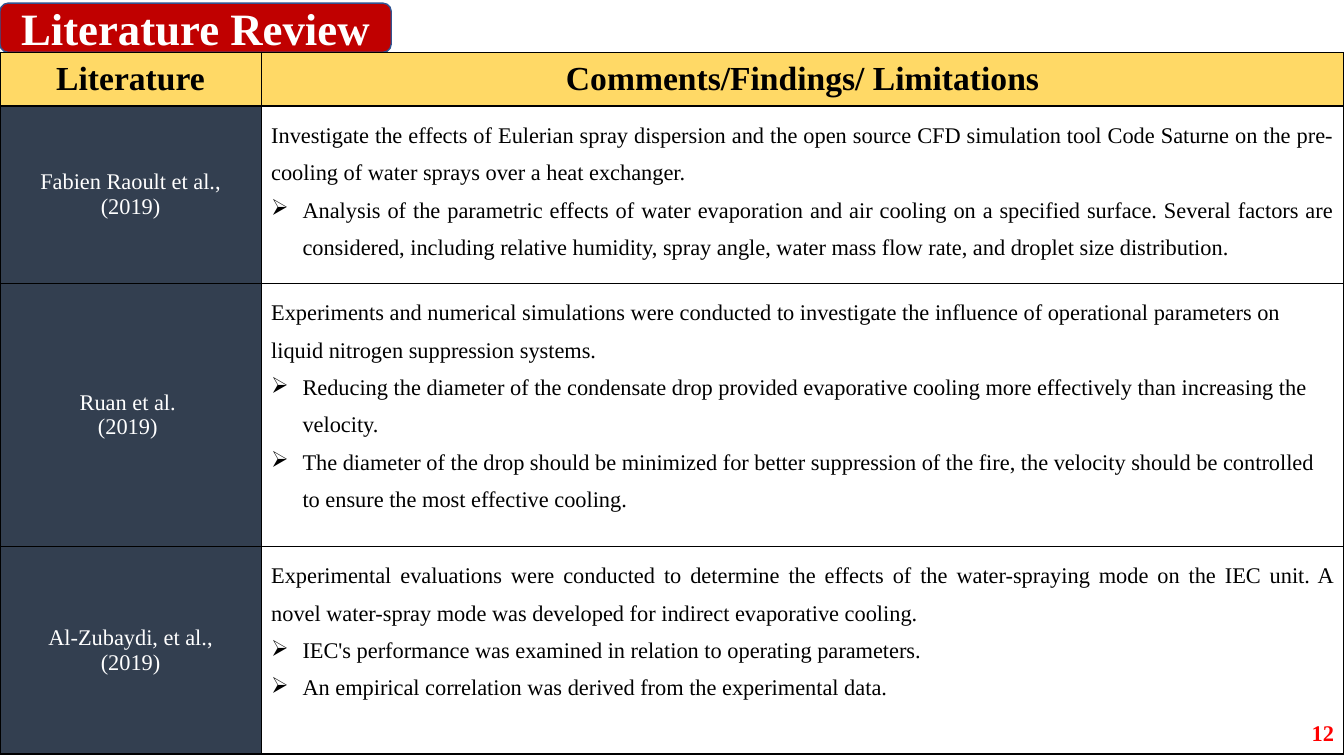
from dataclasses import dataclass
from typing import Any

from pptx import Presentation
from pptx.dml.color import RGBColor
from pptx.enum import shapes, text
from pptx.oxml import parse_xml
from pptx.oxml.ns import nsdecls
from pptx.util import Cm, Pt

COLORS = {
    "title": "C00000", "title_line": "325491", "header": "FFD966",
    "study": "333F50", "white": "FFFFFF", "black": "000000", "number": "FF0000",
}
FONT = "Times New Roman"
CENTER, JUSTIFY = text.PP_ALIGN.CENTER, text.PP_ALIGN.JUSTIFY
LEFT, RIGHT = text.PP_ALIGN.LEFT, text.PP_ALIGN.RIGHT
MIDDLE, TOP = text.MSO_ANCHOR.MIDDLE, text.MSO_ANCHOR.TOP
SLIDE_WIDTH, SLIDE_HEIGHT = Cm(33.87), Cm(19.05)
COLUMN_WIDTHS = [Cm(6.58), Cm(27.29)]
HEADER_HEIGHT = Cm(1.35)
BULLET_INDENT = Cm(0.79)
NARROW_MARGINS = {
    "margin_left": Cm(0.18), "margin_right": Cm(0.18),
    "margin_top": Cm(0.1), "margin_bottom": Cm(0.1),
}


@dataclass
class TextStyle:
    size: int
    color: str
    bold: bool = False
    alignment: Any = CENTER
    line_spacing: float = 1.0


@dataclass
class Study:
    authors: str
    year: str
    summary: str
    findings: list[str]
    height: Cm
    alignment: Any = JUSTIFY


STUDIES = [
    Study(
        "Fabien Raoult et al.,", "(2019)",
        "Investigate the effects of Eulerian spray dispersion and the open source CFD simulation "
        "tool Code Saturne on the pre-cooling of water sprays over a heat exchanger.",
        ["Analysis of the parametric effects of water evaporation and air cooling on a specified "
         "surface. Several factors are considered, including relative humidity, spray angle, "
         "water mass flow rate, and droplet size distribution."],
        Cm(4.47),
    ),
    Study(
        "Ruan et al. ", "(2019) ",
        "Experiments and numerical simulations were conducted to investigate the influence of "
        "operational parameters on liquid nitrogen suppression systems.",
        ["Reducing the diameter of the condensate drop provided evaporative cooling more "
         "effectively than increasing the velocity.",
         "The diameter of the drop should be minimized for better suppression of the fire, the "
         "velocity should be controlled to ensure the most effective cooling."],
        Cm(6.63), LEFT,
    ),
    Study(
        "Al-Zubaydi, et al.,", "(2019)",
        "Experimental evaluations were conducted to determine the effects of the water-spraying "
        "mode on the IEC unit. A novel water-spray mode was developed for indirect evaporative "
        "cooling.",
        ["IEC's performance was examined in relation to operating parameters.",
         "An empirical correlation was derived from the experimental data."],
        Cm(5.23),
    ),
]


def rgb(name: str) -> RGBColor:
    return RGBColor.from_string(COLORS[name])


def set_attributes(target: Any, values: dict[str, Any]) -> None:
    for name, value in values.items():
        setattr(target, name, value)


def add_bullet(paragraph: Any) -> None:
    properties = paragraph._p.get_or_add_pPr()
    properties.set("marL", str(int(BULLET_INDENT)))
    properties.set("indent", str(-int(BULLET_INDENT)))
    properties.append(parse_xml(f'<a:buChar {nsdecls("a")} char="➢"/>'))


def write_text(frame: Any, lines: list[str], style: TextStyle, first_bullet: int = 99) -> None:
    """Write one paragraph per line, with bullets from index first_bullet on."""
    for index, line in enumerate(lines):
        paragraph = frame.paragraphs[0] if index == 0 else frame.add_paragraph()
        set_attributes(paragraph, {
            "alignment": style.alignment, "line_spacing": style.line_spacing,
        })
        if index >= first_bullet:
            add_bullet(paragraph)
        run = paragraph.add_run()
        run.text = line
        set_attributes(run.font, {"name": FONT, "size": Pt(style.size), "bold": style.bold})
        run.font.color.rgb = rgb(style.color)


def format_cell(cell: Any, fill: str, values: dict[str, Any]) -> None:
    properties = cell._tc.get_or_add_tcPr()
    for side in ("lnL", "lnR", "lnT", "lnB"):
        properties.append(parse_xml(
            f'<a:{side} {nsdecls("a")} w="{int(Pt(1))}"><a:solidFill>'
            f'<a:srgbClr val="{COLORS["black"]}"/></a:solidFill></a:{side}>'
        ))
    cell.fill.solid()
    cell.fill.fore_color.rgb = rgb(fill)
    set_attributes(cell, values)


def add_title(slide: Any) -> None:
    shape = slide.shapes.add_shape(
        shapes.MSO_SHAPE.ROUNDED_RECTANGLE, 0, Cm(0.08), Cm(9.86), Cm(1.24))
    shape.shadow.inherit = False
    shape.fill.solid()
    shape.fill.fore_color.rgb = rgb("title")
    shape.line.color.rgb = rgb("title_line")
    shape.line.width = Pt(1)
    set_attributes(shape.text_frame, {"word_wrap": True, "vertical_anchor": MIDDLE})
    write_text(shape.text_frame, ["Literature Review"], TextStyle(32, "white", True))


def add_review_table(slide: Any) -> None:
    heights = [HEADER_HEIGHT] + [study.height for study in STUDIES]
    table = slide.shapes.add_table(
        len(heights), len(COLUMN_WIDTHS), 0, Cm(1.32), SLIDE_WIDTH, sum(heights)).table
    set_attributes(table, {"first_row": False, "horz_banding": False})
    for column, width in zip(table.columns, COLUMN_WIDTHS):
        column.width = width
    for row, height in zip(table.rows, heights):
        row.height = height

    # Header row
    centered = {"vertical_anchor": MIDDLE}
    narrow = centered | NARROW_MARGINS
    headings = ["Literature", "Comments/Findings/ Limitations"]
    for cell, heading, values in zip(table.rows[0].cells, headings, [narrow, centered]):
        format_cell(cell, "header", values)
        write_text(cell.text_frame, [heading], TextStyle(24, "black", True))

    # One row per study
    for index, study in enumerate(STUDIES, start=1):
        source, comments = table.cell(index, 0), table.cell(index, 1)
        format_cell(source, "study", narrow)
        write_text(source.text_frame, [study.authors, study.year], TextStyle(16, "white"))
        format_cell(comments, "white", {"vertical_anchor": TOP})
        write_text(comments.text_frame, [study.summary, *study.findings],
                   TextStyle(16, "black", False, study.alignment, 1.5), first_bullet=1)


def add_slide_number(slide: Any) -> None:
    box = slide.shapes.add_textbox(Cm(26.25), Cm(17.96), Cm(7.62), Cm(1.01))
    set_attributes(box.text_frame, {"word_wrap": True, "vertical_anchor": MIDDLE})
    write_text(box.text_frame, ["12"], TextStyle(16, "number", True, RIGHT))


def main() -> None:
    presentation = Presentation()
    set_attributes(presentation, {"slide_width": SLIDE_WIDTH, "slide_height": SLIDE_HEIGHT})
    slide = presentation.slides.add_slide(presentation.slide_layouts[6])
    add_title(slide)
    add_review_table(slide)
    add_slide_number(slide)
    presentation.save("out.pptx")


if __name__ == "__main__":
    main()
